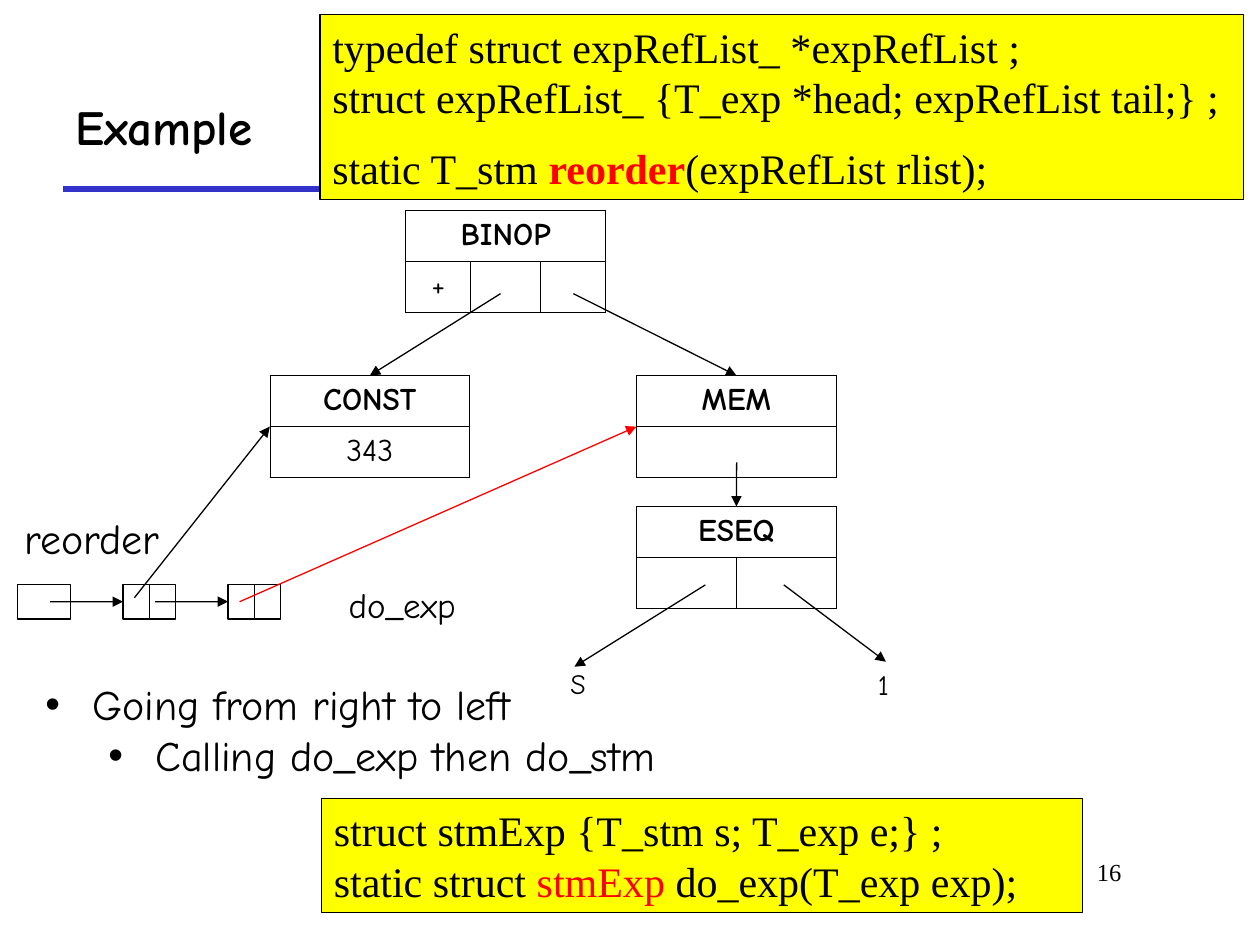
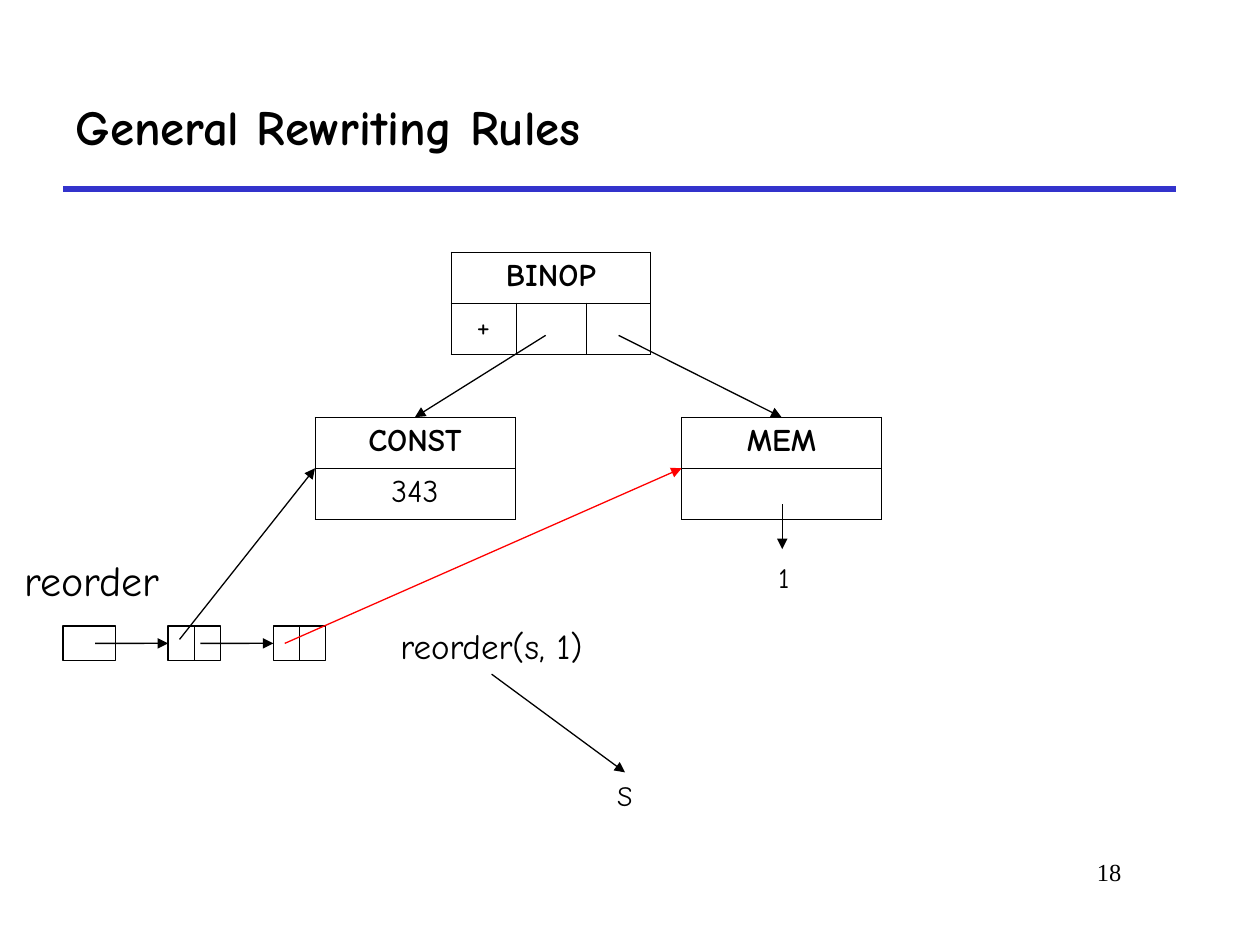
from lxml.etree import SubElement
from pptx import Presentation
from pptx.dml.color import RGBColor
from pptx.enum.shapes import MSO_CONNECTOR, MSO_SHAPE
from pptx.enum.text import MSO_ANCHOR, MSO_AUTO_SIZE, PP_ALIGN
from pptx.oxml.ns import qn
from pptx.util import Cm, Pt

COLOURS = {"ink": "000000", "rule": "3333CC", "code": "FFFF00", "accent": "FF0000"}
HAND, SERIF = "Comic Neue", "Times New Roman"

# Expression tree, in cm from the top left corner of BINOP
NODE_WIDTH, ROW_HEIGHT = 4.03, 1.03
BINOP = ("BINOP", 0, 0, [1.31, 1.41, 1.31], ["+", "", ""])
CONST = ("CONST", -2.74, 3.33, [NODE_WIDTH], ["343"])
MEM = ("MEM", 4.65, 3.33, [NODE_WIDTH], [""])
ESEQ = ("ESEQ", 4.65, 5.97, [NODE_WIDTH / 2] * 2, ["", ""])
TREE_ARROWS = [  # start, node whose top is reached
    ((1.91, 1.68), CONST),
    ((3.38, 1.68), MEM),
    ((6.67, 5.08), ESEQ),
]

# Linked list, in cm from the same corner
LIST_LEFT, LIST_TOP = -7.82, 7.54
LIST_STEP, CELL_WIDTH, CELL_HEIGHT = 2.12, 1.06, 0.7
LINK_START, VALUE_START = 0.65, 0.23

# Labels: text, size, left, top, width, height; arrows: start and end
PAGES = [
    {
        "title": "Example",
        "number": "16",
        "origin": (8.18, 4.24),
        "nodes": [BINOP, CONST, MEM, ESEQ],
        "arrows": [((14.22, 11.79), (11.58, 13.44)), ((15.8, 11.79), (17.86, 13.34))],
        "labels": [
            ("S", 16, 11.25, 13.31, 0.81, 0.94),
            ("1", 16, 17.45, 13.34, 0.74, 0.94),
            ("reorder", 24, 0.25, 10.21, 3.25, 1.27),
            ("do_exp", 20, 6.78, 11.63, 2.67, 1.12),
        ],
        "bullets": [
            ("Going from right to left", 0),
            ("Calling do_exp then do_stm", 1),
        ],
        # Code boxes: place, then lines of (space after, spans of text, colour, bold)
        "code": [
            ((6.45, 0.3, 18.62, 3.73), [
                (0, [("typedef struct expRefList_ *expRefList ;", "ink", False)]),
                (12, [("struct expRefList_ {T_exp *head; expRefList tail;} ;", "ink", False)]),
                (0, [("static T_stm ", "ink", False), ("reorder", "accent", True),
                     ("(expRefList rlist);", "ink", False)]),
            ]),
            ((6.48, 16.1, 15.34, 2.29), [
                (0, [("struct stmExp {T_stm s; T_exp e;} ;", "ink", False)]),
                (0, [("static struct ", "ink", False), ("stmExp", "accent", False),
                     (" do_exp(T_exp exp);", "ink", False)]),
            ]),
        ],
    },
    {
        "title": "General Rewriting Rules",
        "number": "18",
        "origin": (9.09, 5.08),
        "nodes": [BINOP, CONST, MEM],
        "arrows": [((15.77, 10.16), (15.77, 11.07)), ((9.91, 13.59), (12.6, 15.57))],
        "labels": [
            ("S", 16, 12.19, 15.57, 0.81, 0.94),
            ("1", 16, 15.44, 11.18, 0.74, 0.94),
            ("reorder", 24, 0.25, 11.05, 3.25, 1.27),
            ("reorder(s, 1)", 20, 7.82, 12.47, 4.22, 1.12),
        ],
        "bullets": [],
        "code": [],
    },
]


def colour(name):
    return RGBColor.from_string(COLOURS[name])


def place(shape, left, top, width, height):
    shape.left, shape.top = Cm(left), Cm(top)
    shape.width, shape.height = Cm(width), Cm(height)


def add_span(para, text, size, font=HAND, ink="ink", bold=False):
    span = para.add_run()
    span.text = text
    span.font.size, span.font.name, span.font.bold = Pt(size), font, bold
    span.font.color.rgb = colour(ink)


def add_line(page, start, end, ink="ink", weight=0.75, arrow=False):
    line = page.shapes.add_connector(
        MSO_CONNECTOR.STRAIGHT, *(Cm(value) for value in (*start, *end)))
    line.line.color.rgb = colour(ink)
    line.line.width = Pt(weight)
    if arrow:
        SubElement(line.line._get_or_add_ln(), qn("a:tailEnd"), type="triangle")
    SubElement(line._element.spPr, qn("a:effectLst"))
    return line


def add_label(page, text, size, left, top, width, height, font=HAND, align=PP_ALIGN.LEFT):
    box = page.shapes.add_textbox(Cm(left), Cm(top), Cm(width), Cm(height))
    box.text_frame.word_wrap = False
    para = box.text_frame.paragraphs[0]
    para.alignment = align
    add_span(para, text, size, font)


def add_box(page, left, top, width, height, fill=None):
    box = page.shapes.add_shape(
        MSO_SHAPE.RECTANGLE, Cm(left), Cm(top), Cm(width), Cm(height))
    box.shadow.inherit = False
    if fill:
        box.fill.solid()
        box.fill.fore_color.rgb = colour(fill)
    else:
        box.fill.background()
    box.line.color.rgb = colour("ink")
    box.line.width = Pt(0.75)
    return box


def style_cell(cell, text, bold):
    properties = cell._tc.get_or_add_tcPr()
    for side in ("lnL", "lnR", "lnT", "lnB"):
        border = SubElement(properties, qn(f"a:{side}"), w=str(Pt(0.45)))
        fill = SubElement(border, qn("a:solidFill"))
        SubElement(fill, qn("a:srgbClr"), val=COLOURS["ink"])
    cell.fill.background()
    if text:
        para = cell.text_frame.paragraphs[0]
        para.alignment = PP_ALIGN.CENTER
        add_span(para, text, 18, bold=bold)


def add_node(page, origin, node):
    name, left, top, widths, fields = node
    table = page.shapes.add_table(
        2, len(widths), Cm(origin[0] + left), Cm(origin[1] + top),
        Cm(NODE_WIDTH), Cm(2 * ROW_HEIGHT)).table
    table.first_row = table.horz_banding = False
    for column, width in zip(table.columns, widths):
        column.width = Cm(width)
    if len(widths) > 1:
        table.cell(0, 0).merge(table.cell(0, len(widths) - 1))
    for index, field in enumerate(fields):
        style_cell(table.cell(0, index), "" if index else name, True)
        style_cell(table.cell(1, index), field, False)


def add_tree(page, origin, nodes):
    for node in nodes:
        add_node(page, origin, node)
    for (x, y), node in TREE_ARROWS:
        if node in nodes:
            end = (origin[0] + node[1] + NODE_WIDTH / 2, origin[1] + node[2])
            add_line(page, (origin[0] + x, origin[1] + y), end, arrow=True)


def add_linked_list(page, origin):
    left, top = origin[0] + LIST_LEFT, origin[1] + LIST_TOP
    middle = top + CELL_HEIGHT / 2
    lefts = [left + index * LIST_STEP for index in range(3)]
    cells = [add_box(page, x, top, CELL_WIDTH, CELL_HEIGHT) for x in lefts]
    # Halves of the two list cells
    for x, cell in zip(lefts[1:], cells[1:]):
        centre = x + CELL_WIDTH / 2
        divider = add_line(page, (centre, top), (centre, top + CELL_HEIGHT))
        divider.begin_connect(cell, 0)
        divider.end_connect(cell, 2)
    # Links to the next cell
    for x, next_x, next_cell in zip(lefts, lefts[1:], cells[1:]):
        link = add_line(page, (x + LINK_START, middle), (next_x, middle), arrow=True)
        link.end_connect(next_cell, 1)
    # References to tree nodes
    for x, node, lift, ink in ((lefts[1], CONST, 0.08, "ink"), (lefts[2], MEM, 0, "accent")):
        end = (origin[0] + node[1], origin[1] + node[2] + ROW_HEIGHT)
        add_line(page, (x + VALUE_START, middle - lift), end, ink, arrow=True)


def fill_bullets(body, bullets):
    place(body, 0.66, 13.56, 12.8, 2.29)
    frame = body.text_frame
    frame.word_wrap = False
    frame.auto_size = MSO_AUTO_SIZE.NONE
    for index, (text, level) in enumerate(bullets):
        para = frame.add_paragraph() if index else frame.paragraphs[0]
        para.level = level
        para.space_before = Pt(0)
        properties = para._p.get_or_add_pPr()
        properties.set("marL", str(Cm(0.95 + 1.27 * level)))
        properties.set("indent", str(-Cm(0.95)))
        SubElement(properties, qn("a:buChar"), char="•")
        add_span(para, text, 24)


def add_code(page, spot, lines):
    box = add_box(page, *spot, fill="code")
    frame = box.text_frame
    frame.word_wrap = True
    frame.vertical_anchor = MSO_ANCHOR.TOP
    for index, (space_after, spans) in enumerate(lines):
        para = frame.add_paragraph() if index else frame.paragraphs[0]
        para.alignment = PP_ALIGN.LEFT
        para.space_after = Pt(space_after)
        for text, ink, bold in spans:
            add_span(para, text, 24, SERIF, ink, bold)


def start_page(deck, content):
    layout = deck.slide_layouts[1 if content["bullets"] else 5]
    page = deck.slides.add_slide(layout)
    add_line(page, (1.27, 3.81), (23.7, 3.81), "rule", 3)
    add_label(page, content["number"], 14, 17.58, 17.15, 5.28, 1.27, SERIF, PP_ALIGN.RIGHT)
    title = page.shapes.title
    place(title, 1.27, 1.27, 22.43, 2.54)
    title.text_frame.vertical_anchor = MSO_ANCHOR.MIDDLE
    para = title.text_frame.paragraphs[0]
    para.alignment = PP_ALIGN.LEFT
    add_span(para, content["title"], 28, bold=True)
    return page


def main():
    deck = Presentation()
    deck.slide_width, deck.slide_height = Cm(25.4), Cm(19.05)
    for content in PAGES:
        page = start_page(deck, content)
        add_tree(page, content["origin"], content["nodes"])
        for start, end in content["arrows"]:
            add_line(page, start, end, arrow=True)
        add_linked_list(page, content["origin"])
        for label in content["labels"]:
            add_label(page, *label)
        if content["bullets"]:
            fill_bullets(page.placeholders[1], content["bullets"])
        for spot, lines in content["code"]:
            add_code(page, spot, lines)
    deck.save("out.pptx")


if __name__ == "__main__":
    main()
